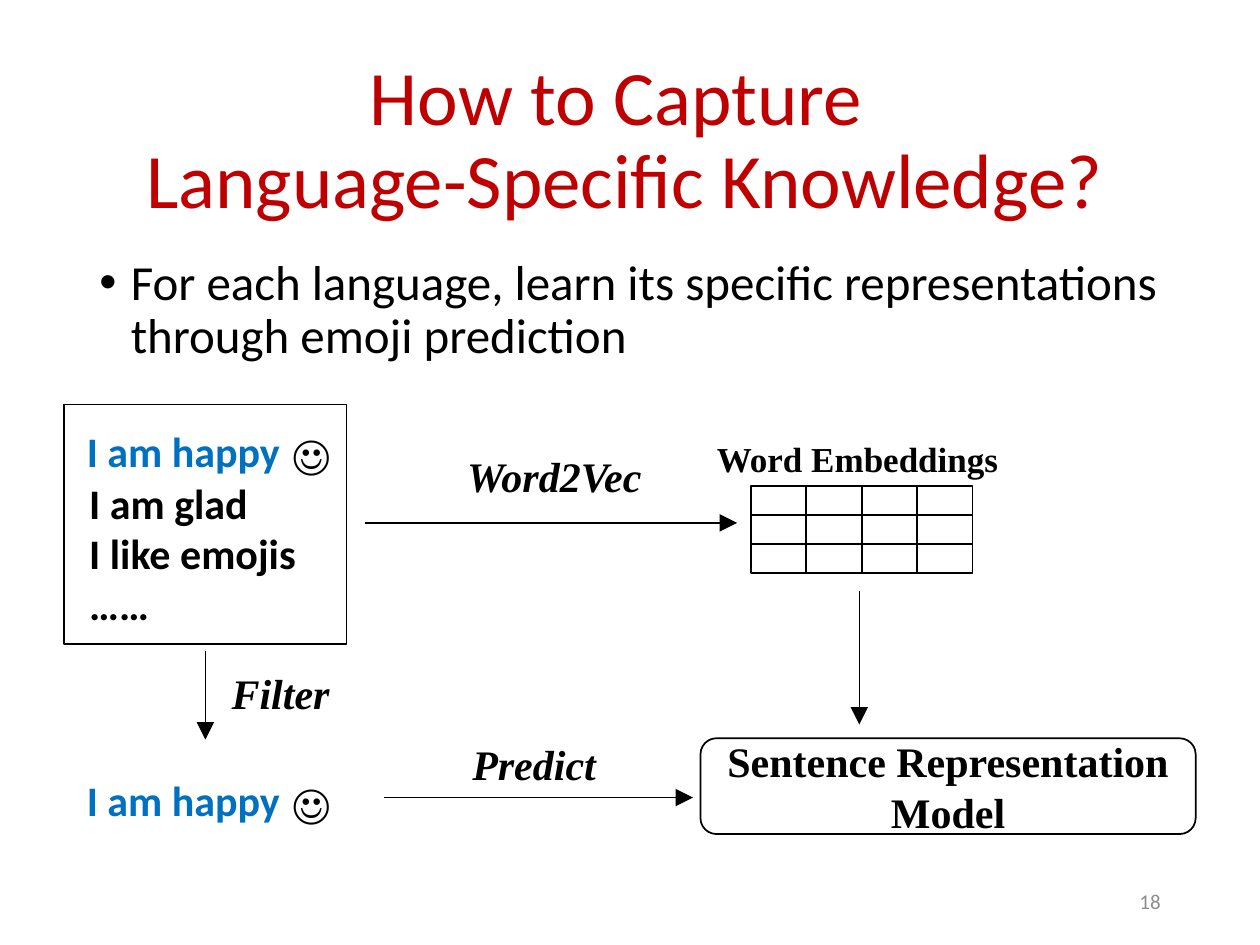
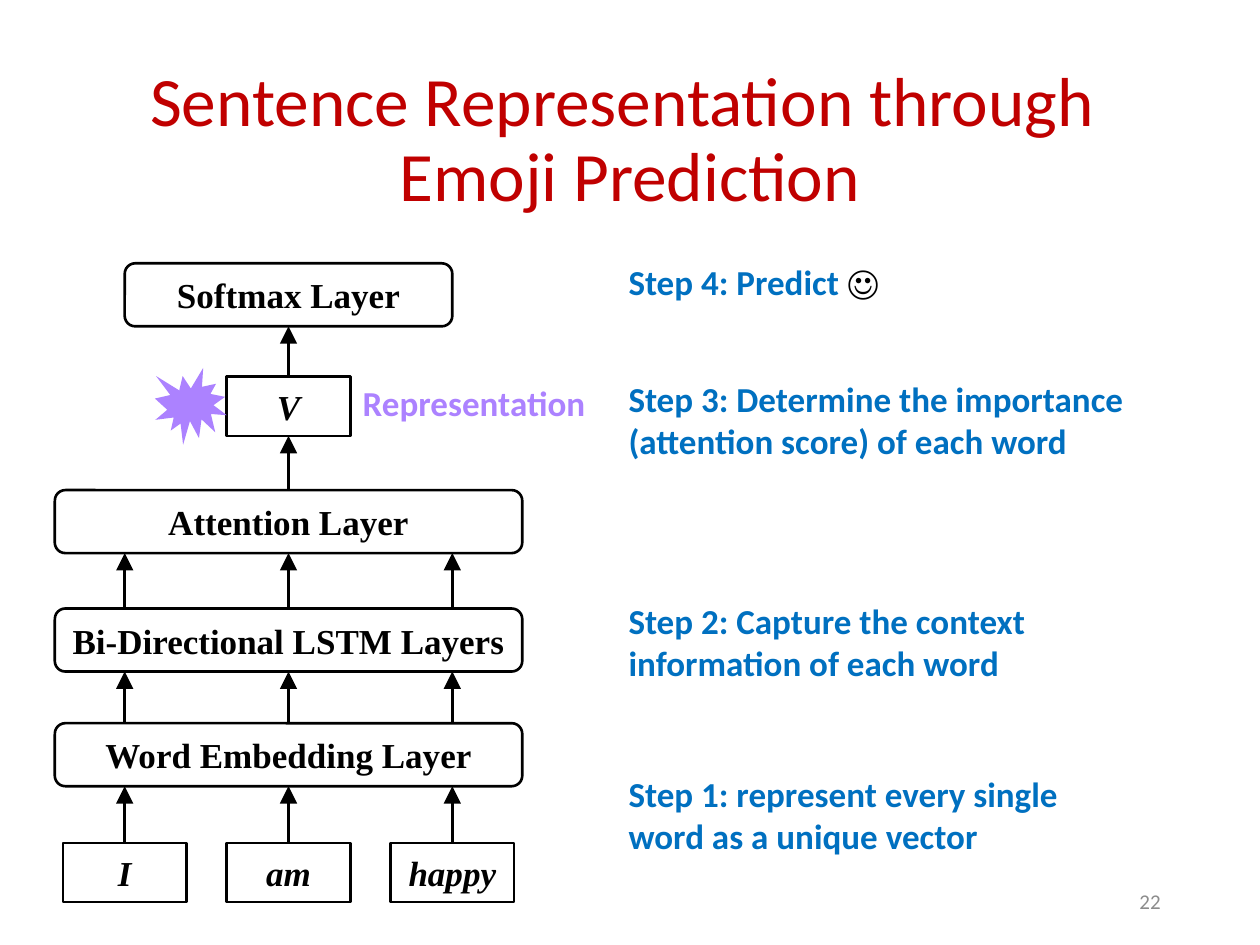
from itertools import product

from lxml import etree
from pptx import Presentation
from pptx.dml.color import RGBColor
from pptx.enum.shapes import MSO_CONNECTOR, MSO_SHAPE
from pptx.enum.text import MSO_ANCHOR, MSO_AUTO_SIZE, PP_ALIGN
from pptx.oxml.ns import qn
from pptx.util import Inches, Pt

# Shared look
BLACK, RED, BLUE, PURPLE, GREY = "000000", "C00000", "0070C0", "AC82FF", "8C8C8C"
SANS, SERIF = "Calibri", "Times New Roman"
SMILEY = "☺"


def colour(hex_value):
    return RGBColor.from_string(hex_value)


def add_run(paragraph, text, size, font=SANS, color=BLACK, bold=True, italic=False):
    run = paragraph.add_run()
    run.text = text
    run.font.size = Pt(size)
    run.font.name = font
    run.font.bold = bold
    run.font.italic = italic
    run.font.color.rgb = colour(color)


def add_box(slide, left, top, width, height):
    box = slide.shapes.add_textbox(Inches(left), Inches(top), Inches(width), Inches(height))
    box.text_frame.word_wrap = True
    return box.text_frame


def add_label(slide, left, top, width, height, lines, size, wrap=False, **style):
    """Bold text that fits its box, one paragraph per line."""
    frame = add_box(slide, left, top, width, height)
    frame.word_wrap = wrap
    frame.auto_size = MSO_AUTO_SIZE.SHAPE_TO_FIT_TEXT
    for index, line in enumerate(lines):
        paragraph = frame.add_paragraph() if index else frame.paragraphs[0]
        add_run(paragraph, line, size, **style)
    return frame


def add_title(slide, left, width, lines, size):
    frame = add_box(slide, left, 0.4, width, 1.45)
    frame.vertical_anchor = MSO_ANCHOR.MIDDLE
    paragraph = frame.paragraphs[0]
    paragraph.alignment = PP_ALIGN.CENTER
    paragraph.line_spacing = 0.9
    for index, line in enumerate(lines):
        if index:
            paragraph.add_line_break()
        add_run(paragraph, line, size, color=RED, bold=False)


def add_page_number(slide, number):
    frame = add_box(slide, 7.06, 6.95, 2.25, 0.4)
    frame.vertical_anchor = MSO_ANCHOR.MIDDLE
    paragraph = frame.paragraphs[0]
    paragraph.alignment = PP_ALIGN.RIGHT
    add_run(paragraph, number, 12, color=GREY, bold=False)


def add_bullet(slide, text):
    paragraph = add_box(slide, 0.69, 2, 9.31, 4.76).paragraphs[0]
    paragraph.line_spacing = 0.9
    paragraph.space_before = Pt(10)
    add_run(paragraph, text, 28, bold=False)
    properties = paragraph._p.get_or_add_pPr()
    properties.set("marL", str(Inches(0.25)))
    properties.set("indent", str(-Inches(0.25)))
    etree.SubElement(properties, qn("a:buFont"), typeface="Arial")
    etree.SubElement(properties, qn("a:buChar"), char="•")


def add_frame(slide, kind, left, top, width, height, line_width,
              text=None, size=20, italic=False):
    """Outlined shape with optional centred text."""
    shape = slide.shapes.add_shape(
        kind, Inches(left), Inches(top), Inches(width), Inches(height))
    shape.shadow.inherit = False
    shape.fill.background()
    shape.line.color.rgb = colour(BLACK)
    shape.line.width = Pt(line_width)
    if text:
        shape.text_frame.word_wrap = True
        shape.text_frame.vertical_anchor = MSO_ANCHOR.MIDDLE
        paragraph = shape.text_frame.paragraphs[0]
        paragraph.alignment = PP_ALIGN.CENTER
        add_run(paragraph, text, size, SERIF, italic=italic)
    return shape


def add_arrow(slide, start, end, line_width):
    """Straight arrow between two points in inches."""
    arrow = slide.shapes.add_connector(
        MSO_CONNECTOR.STRAIGHT, *[Inches(value) for value in (*start, *end)])
    arrow.line.color.rgb = colour(BLACK)
    arrow.line.width = Pt(line_width)
    etree.SubElement(arrow.line._get_or_add_ln(), qn("a:tailEnd"),
                     type="triangle", w="lg", len="lg")
    etree.SubElement(arrow._element.spPr, qn("a:effectLst"))
    return arrow


def is_middle(shape, x):
    return abs(shape.left + shape.width // 2 - Inches(x)) < Inches(0.01)


def add_up_arrow(slide, lower, upper, x):
    """Arrow from one shape up to the next, joined where it meets a side's middle."""
    bottom = (upper.top + upper.height).inches if hasattr(
        upper.top + upper.height, "inches") else (upper.top + upper.height) / Inches(1)
    arrow = add_arrow(slide, (x, lower.top.inches), (x, bottom), 1.5)
    if is_middle(lower, x):
        arrow.begin_connect(lower, 0)
    if is_middle(upper, x):
        arrow.end_connect(upper, 2)


def add_happy_sentence(slide, top):
    add_label(slide, 0.59, top, 1.78, 0.5, ["I am happy"], 24, color=BLUE)
    add_label(slide, 2.22, top + 0.02, 0.54, 0.5, [SMILEY], 24)


def build_knowledge_slide(slide):
    add_title(slide, 0.01, 9.9, ["How to Capture ", "Language-Specific Knowledge?"], 44)
    add_bullet(slide, "For each language, learn its specific representations "
                      "through emoji prediction")
    add_page_number(slide, "18")

    # Corpus and filtered sentence
    add_frame(slide, MSO_SHAPE.RECTANGLE, 0.51, 3.21, 2.24, 1.9, 1)
    add_label(slide, 0.61, 3.74, 1.91, 1.31, ["I am glad", "I like emojis", "……"], 24)
    for top in (3.33, 6.1):
        add_happy_sentence(slide, top)

    # Embedding grid
    for row, column in product(range(3), range(4)):
        add_frame(slide, MSO_SHAPE.RECTANGLE, 5.96 + 0.44 * column, 3.86 + 0.23 * row,
                  0.44, 0.23, 1)
    add_label(slide, 5.59, 3.42, 2.91, 0.44, ["Word Embeddings"], 20, wrap=True, font=SERIF)

    # Model
    add_frame(slide, MSO_SHAPE.ROUNDED_RECTANGLE, 5.56, 5.86, 3.93, 0.76, 1,
              "Sentence Representation Model", 24)

    # Process arrows and their names
    for start, end, line_width in (
        ((2.9, 4.15), (5.85, 4.15), 1),
        ((1.63, 5.17), (1.63, 5.87), 1),
        ((3.05, 6.33), (5.5, 6.33), 1),
        ((6.82, 4.69), (6.82, 5.75), 0.5),
    ):
        add_arrow(slide, start, end, line_width)
    for name, left, top, width in (
        ("Word2Vec", 3.61, 3.53, 1.91),
        ("Filter", 1.74, 5.25, 1),
        ("Predict", 3.65, 5.81, 1.24),
    ):
        add_label(slide, left, top, width, 0.5, [name], 24, wrap=True,
                  font=SERIF, italic=True)


def build_network_slide(slide):
    add_title(slide, 0.69, 8.62, ["Sentence Representation through ", "Emoji Prediction"], 39.6)
    add_page_number(slide, "22")

    center = 2.29
    columns = [center + 1.3 * step for step in (-1, 0, 1)]

    def add_cell(text, x, top):
        return add_frame(slide, MSO_SHAPE.RECTANGLE, x - 0.49, top, 0.98, 0.47, 1.5,
                         text, italic=True)

    def add_layer(text, top, width=3.71):
        return add_frame(slide, MSO_SHAPE.ROUNDED_RECTANGLE, center - width / 2, top,
                         width, 0.5, 1.5, text)

    # Network, from the words up
    words = [add_cell(word, x, 6.69) for word, x in zip(("I", "am", "happy"), columns)]
    embedding = add_layer("Word Embedding Layer", 5.74)
    lstm = add_layer("Bi-Directional LSTM Layers", 4.83)
    attention = add_layer("Attention Layer", 3.89)
    vector = add_cell("V", center, 2.99)
    softmax = add_layer("Softmax Layer", 2.09, 2.6)

    for word, x in zip(words, columns):
        for lower, upper in ((word, embedding), (embedding, lstm), (lstm, attention)):
            add_up_arrow(slide, lower, upper, x)
    for lower, upper in ((attention, vector), (vector, softmax)):
        add_up_arrow(slide, lower, upper, center)

    # Highlight of the representation
    burst = slide.shapes.add_shape(MSO_SHAPE.EXPLOSION1, Inches(1.23), Inches(2.92),
                                   Inches(0.57), Inches(0.61))
    burst.shadow.inherit = False
    burst.fill.solid()
    burst.fill.fore_color.rgb = colour(PURPLE)
    burst.line.fill.background()
    add_label(slide, 2.78, 2.98, 1.98, 0.44, ["Representation"], 20, color=PURPLE)

    # Steps
    for top, width, lines in (
        (6.08, 3.79, ["Step 1: represent every single", "word as a unique vector"]),
        (4.71, 3.66, ["Step 2: Capture the context", "information of each word"]),
        (2.95, 4.27, ["Step 3: Determine the importance", "(attention score) of each word"]),
    ):
        add_label(slide, 4.89, top, width, 0.77, lines, 20, color=BLUE)
    predict = add_label(slide, 4.89, 2.02, 2.3, 0.44, ["Step 4: Predict "], 20, color=BLUE)
    add_run(predict.paragraphs[0], SMILEY, 20)


def main():
    presentation = Presentation()
    presentation.slide_width = Inches(10)
    presentation.slide_height = Inches(7.5)
    blank = presentation.slide_layouts[6]
    for build in (build_knowledge_slide, build_network_slide):
        build(presentation.slides.add_slide(blank))
    presentation.save("out.pptx")


if __name__ == "__main__":
    main()
